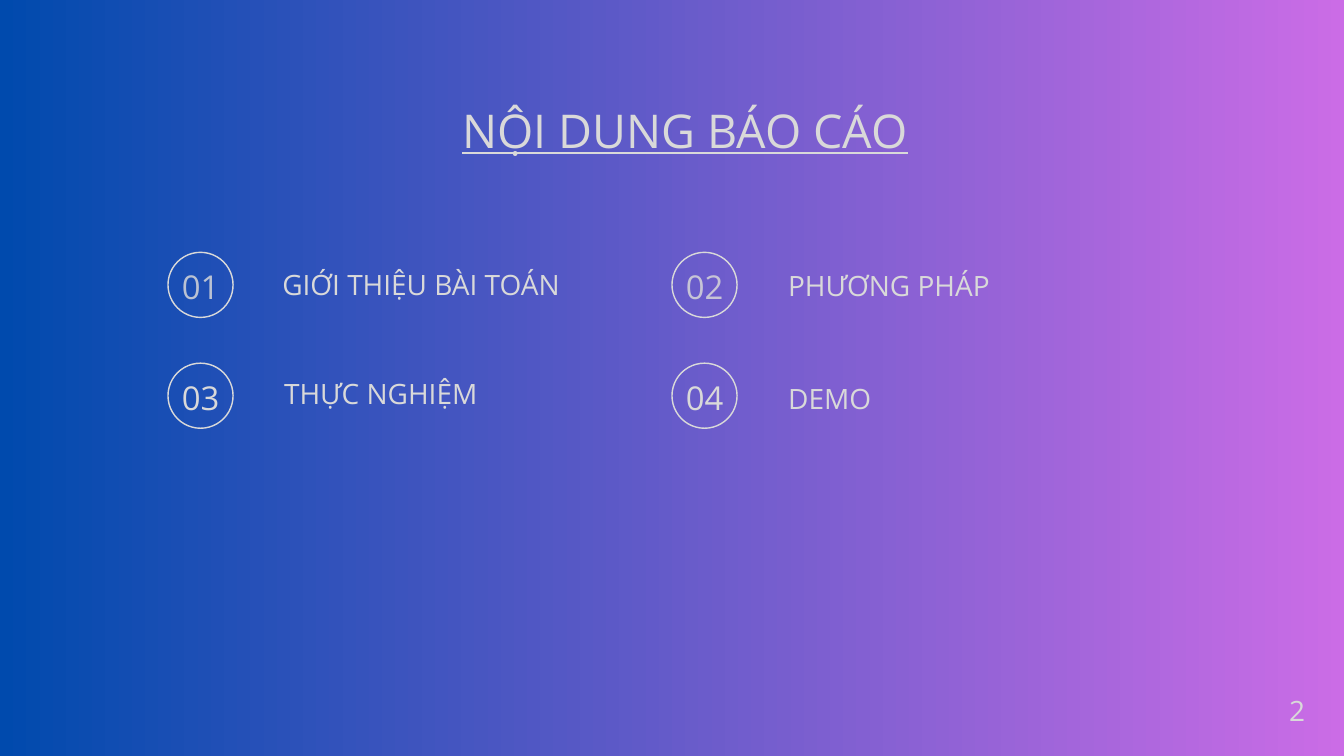
from lxml.etree import SubElement
from pptx import Presentation
from pptx.dml.color import RGBColor
from pptx.enum.shapes import MSO_SHAPE
from pptx.enum.text import MSO_AUTO_SIZE, PP_ALIGN
from pptx.oxml.ns import qn
from pptx.util import Cm, Pt

HUES = {"blue": "004AAD", "pink": "CB6CE6", "pale": "D9D9D9"}
FRAME = {"margin_left": 0, "margin_top": 0, "margin_right": 0,
         "margin_bottom": 0, "word_wrap": True,
         "auto_size": MSO_AUTO_SIZE.SHAPE_TO_FIT_TEXT}
TITLE = {"size": Pt(49.9), "underline": True}
LABEL = {"size": Pt(30)}
NUMBER = {"size": Pt(35.2)}

COLS = (6.35, 25.4)
ROWS = (9.54, 13.73)
RING = 2.46
# Label, its offset from the ring's corner, its width, number opacity in %
ITEMS = (
    ("GIỚI THIỆU BÀI TOÁN", 4.32, 0.57, 11.35, 83),
    ("PHƯƠNG PHÁP", 4.39, 0.59, 8.92, 83),
    ("THỰC NGHIỆM", 4.39, 0.49, 9.19, 100),
    ("DEMO", 4.39, 0.67, 7.52, 100),
)


def color(name):
    return RGBColor.from_string(HUES[name])


def assign(target, values):
    for key, value in values.items():
        setattr(target, key, value)


def write(slide, box, text, style, pitch, align=PP_ALIGN.CENTER, alpha=100):
    """Add a one-line text box; pitch is the line height in points."""
    frame = slide.shapes.add_textbox(*map(Cm, box)).text_frame
    assign(frame, FRAME)
    para = frame.paragraphs[0]
    assign(para, {"alignment": align, "line_spacing": Pt(pitch)})
    run = para.add_run()
    run.text = text
    assign(run.font, {"name": "Open Sans", **style})
    run.font.color.rgb = color("pale")
    if alpha < 100:
        tint = run._r.xpath(".//a:srgbClr")[0]
        SubElement(tint, qn("a:alpha")).set("val", str(alpha * 1000))


def paint(slide):
    """Fill the background with a left-to-right gradient."""
    fill = slide.background.fill
    fill.gradient()
    fill.gradient_angle = 0
    for stop, name in zip(fill.gradient_stops, ("blue", "pink")):
        stop.color.rgb = color(name)


def add_item(slide, left, top, number, item):
    text, right, down, width, alpha = item
    ring = slide.shapes.add_shape(
        MSO_SHAPE.OVAL, Cm(left), Cm(top), Cm(RING), Cm(RING))
    ring.shadow.inherit = False
    ring.fill.background()
    ring.line.color.rgb = color("pale")
    ring.line.width = Pt(1.5)
    write(slide, (left, top + 0.29, RING, 1.68), f"{number:02}",
          NUMBER, 49.4, alpha=alpha)
    write(slide, (left + right, top + down, width, 1.24), text,
          LABEL, 36.6, PP_ALIGN.LEFT)


def add_agenda(slide):
    for index, item in enumerate(ITEMS):
        row, col = divmod(index, len(COLS))
        add_item(slide, COLS[col], ROWS[row], index + 1, item)


def main():
    deck = Presentation()
    assign(deck, {"slide_width": Cm(50.8), "slide_height": Cm(28.58)})
    slide = deck.slides.add_slide(deck.slide_layouts[6])
    paint(slide)
    write(slide, (14.5, 3.81, 22.8, 2.13), "NỘI DUNG BÁO CÁO", TITLE, 60.9)
    add_agenda(slide)
    write(slide, (48.72, 26, 0.61, 1.42), "2", LABEL, 42)
    deck.save("out.pptx")


if __name__ == "__main__":
    main()
